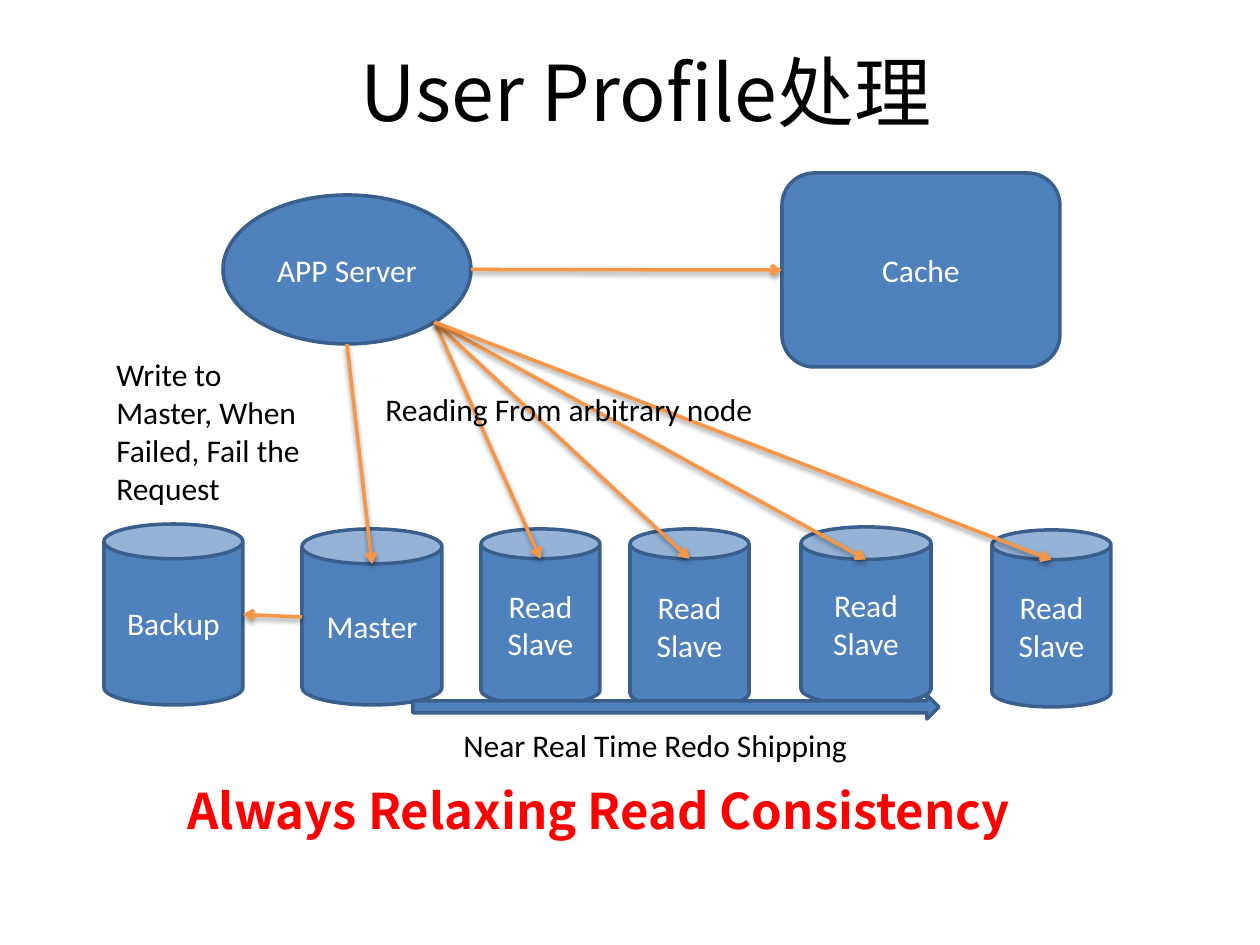
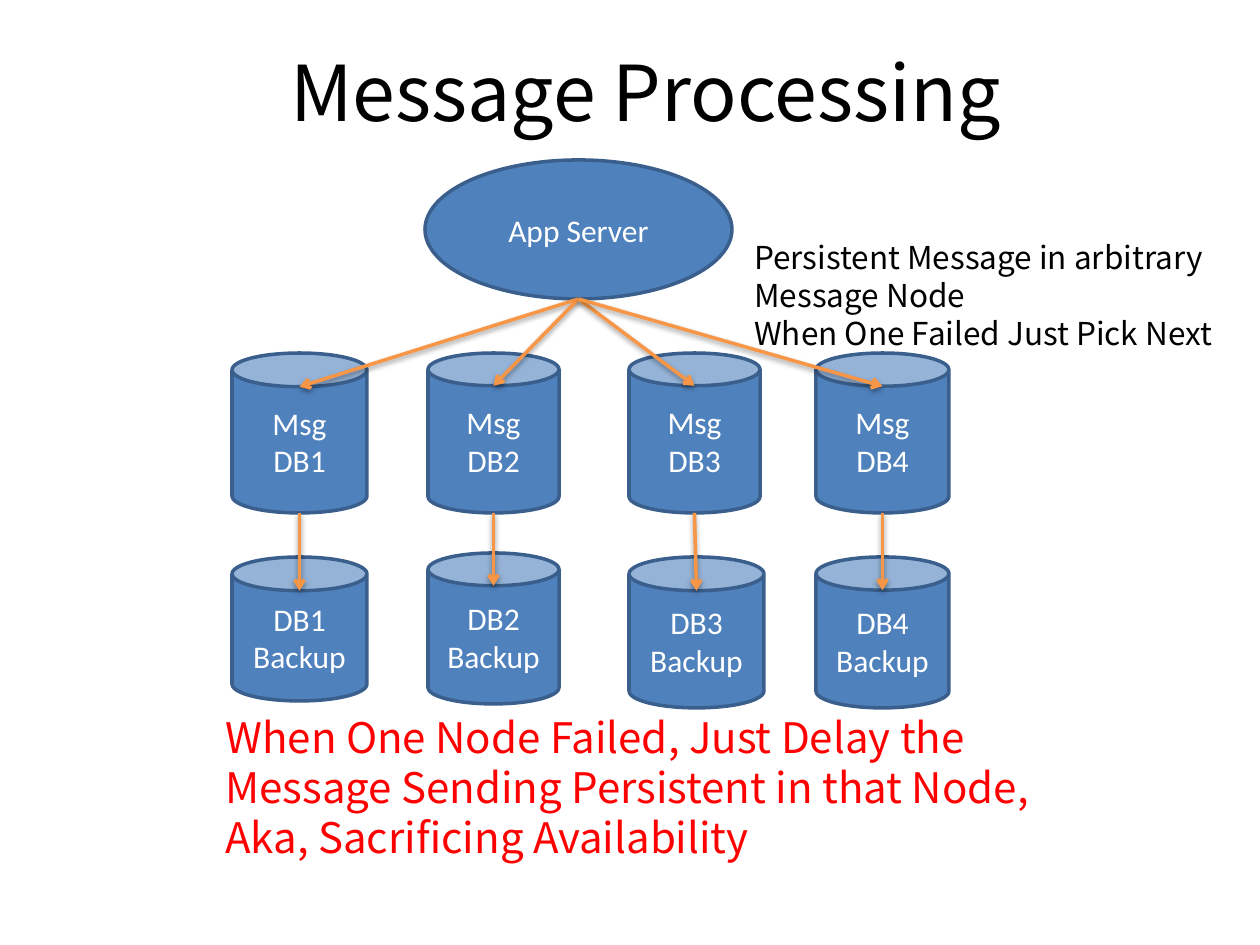
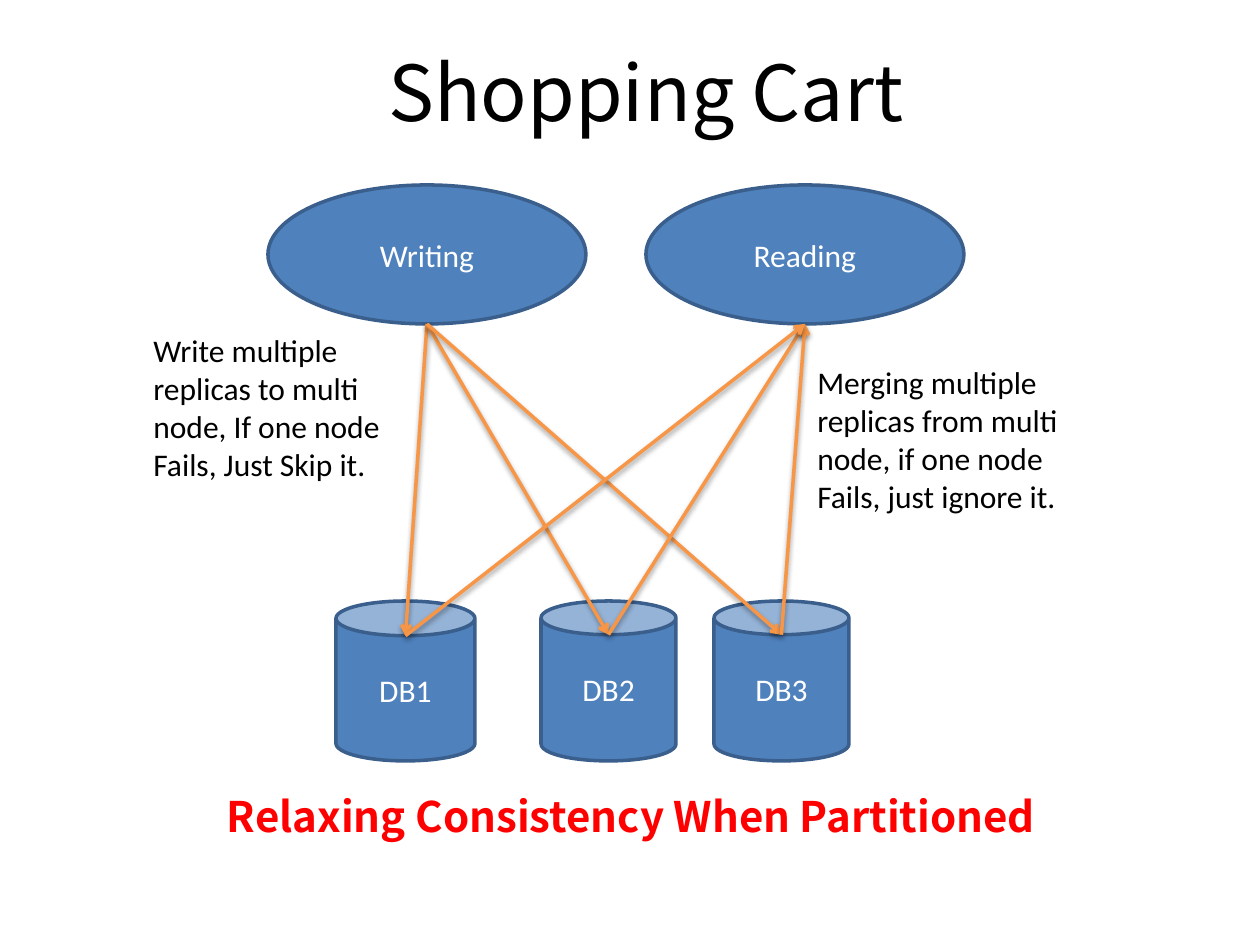
import math
from dataclasses import dataclass

from lxml import etree
from pptx import Presentation
from pptx import util as u
from pptx.dml.color import RGBColor
from pptx.enum import shapes, text
from pptx.oxml.ns import qn

PX = 914400 // 126  # one px in EMU
PT = 12700


@dataclass(frozen=True)
class Theme:
    fill: str = "4F81BD"
    outline: str = "3A5F8C"
    arrow: str = "F79646"
    ink: str = "000000"
    light: str = "FFFFFF"
    alert: str = "FF0000"
    body_font: str = "Calibri"
    head_font: str = "Noto Sans CJK SC"
    title_size: int = 44
    banner_size: int = 28
    alert_size: int = 24
    body_size: int = 18
    line: int = 2


T = Theme()
TITLE_BOX = (84, 31, 1124, 136)
KINDS = {
    "ellipse": shapes.MSO_SHAPE.OVAL,
    "can": shapes.MSO_SHAPE.CAN,
    "round": shapes.MSO_SHAPE.ROUNDED_RECTANGLE,
    "arrow": shapes.MSO_SHAPE.RIGHT_ARROW,
}
HEAD = dict(font=T.head_font)
ALERT = dict(HEAD, size=T.alert_size, color=T.alert)

# Content: nodes are name: (kind, text, box); links are (from, anchor, to, anchor);
# notes are (text, box, format)
READS = [(481, 529, 119, 176), (630, 529, 119, 179),
         (801, 527, 130, 178), (992, 530, 119, 177)]
MESSAGE_COLUMNS = [(232, 135), (428, 131), (629, 131), (816, 133)]
BACKUPS = [(232, 557, 135, 144), (428, 553, 131, 151),
           (629, 557, 135, 151), (816, 557, 133, 151)]
STORES = [(336, 601, 139, 160), (541, 601, 135, 160), (714, 601, 135, 160)]

SLIDES = [
    dict(
        title="User Profile处理",
        nodes={
            "app": ("ellipse", "APP Server", (223, 195, 248, 149)),
            "master": ("can", "Master", (302, 529, 140, 176)),
            "cache": ("round", "Cache", (782, 173, 278, 194)),
            **{f"read{i}": ("can", "Read\nSlave", box) for i, box in enumerate(READS)},
            "backup": ("can", "Backup", (104, 524, 139, 181)),
            "redo": ("arrow", "", (413, 695, 526, 24)),
        },
        links=[("app", "bottom", "master", "lid"),
               ("app", "right", "cache", "left"),
               ("master", "left", "backup", "right"),
               *[("app", "corner", f"read{i}", "lid") for i in range(4)]],
        notes=[
            ("Near Real Time Redo Shipping", (451, 720, 446, 50), {}),
            ("Write to Master, When Failed, Fail the Request", (104, 349, 228, 127), {}),
            ("Reading From arbitrary node", (373, 384, 416, 50), {}),
            ("Always Relaxing Read Consistency", (175, 770, 922, 72),
             dict(ALERT, size=T.banner_size, bold=True)),
        ],
    ),
    dict(
        title="Message Processing",
        nodes={
            "app": ("ellipse", "App Server", (425, 160, 307, 139)),
            **{f"msg{i}": ("can", f"Msg\nDB{i}", (x, 353, w, 160))
               for i, (x, w) in enumerate(MESSAGE_COLUMNS, 1)},
            **{f"backup{i}": ("can", f"DB{i}\nBackup", box)
               for i, box in enumerate(BACKUPS, 1)},
        },
        links=[*[("app", "bottom", f"msg{i}", "lid") for i in range(1, 5)],
               *[(f"msg{i}", "bottom", f"backup{i}", "lid") for i in range(1, 5)]],
        notes=[
            ("Persistent Message in arbitrary Message Node\nWhen One Failed Just Pick Next",
             (742, 229, 514, 127), HEAD),
            ("When One Node Failed, Just Delay the Message Sending Persistent in that Node,\n"
             "Aka, Sacrificing Availability", (213, 701, 922, 165), ALERT),
        ],
    ),
    dict(
        title="Shopping Cart",
        nodes={
            "writing": ("ellipse", "Writing", (268, 185, 318, 139)),
            "reading": ("ellipse", "Reading", (646, 185, 318, 139)),
            **{f"db{i}": ("can", f"DB{i}", box) for i, box in enumerate(STORES, 1)},
        },
        links=[*[("writing", "bottom", f"db{i}", "lid") for i in (1, 2, 3)],
               *[(f"db{i}", "lid", "reading", "bottom") for i in (2, 3, 1)]],
        notes=[
            ("Write multiple replicas to multi node, If one node Fails, Just Skip it.",
             (141, 325, 256, 165), {}),
            ("Merging multiple replicas from multi node, if one node Fails, just ignore it.",
             (805, 357, 289, 165), {}),
            ("Relaxing Consistency When Partitioned", (164, 780, 927, 69),
             dict(ALERT, bold=True, inset=63)),
        ],
    ),
]


def emu(*lengths):
    return [round(n * PX) for n in lengths]


def write(tf, content, size=T.body_size, color=T.ink, font=T.body_font, bold=False,
          align=text.PP_ALIGN.LEFT, anchor=text.MSO_ANCHOR.TOP, inset=None):
    """Fill a text frame, one paragraph for each line of content."""
    tf.word_wrap = True
    tf.vertical_anchor = anchor
    if inset:
        tf.margin_left = u.Emu(inset * PX)
    if font == T.head_font:
        tf.margin_top = u.Pt(3.6 + 0.09 * size)
    for i, line in enumerate(content.split("\n")):
        p = tf.add_paragraph() if i else tf.paragraphs[0]
        p.alignment = align
        if font == T.head_font:  # tall font set on tight lines
            p.line_spacing = u.Pt(round(1.2 * size, 1))
        r = p.add_run()
        r.text = line
        r.font.size, r.font.bold, r.font.name = u.Pt(size), bold, font
        r.font.color.rgb = RGBColor.from_string(color)
        if font == T.head_font:
            etree.SubElement(r.font._element, qn("a:ea"), typeface=font)


def add_note(s, content, box, **style):
    write(s.shapes.add_textbox(*emu(*box)).text_frame, content, **style)


def add_node(s, kind, content, box):
    sp = s.shapes.add_shape(KINDS[kind], *emu(*box))
    sp.shadow.inherit = False
    sp.fill.solid()
    sp.fill.fore_color.rgb = RGBColor.from_string(T.fill)
    sp.line.color.rgb = RGBColor.from_string(T.outline)
    sp.line.width = u.Pt(T.line)
    if content:
        write(sp.text_frame, content, color=T.light, align=text.PP_ALIGN.CENTER,
              anchor=text.MSO_ANCHOR.MIDDLE)
    return sp


def anchor_point(box, anchor):
    x, y, w, h = box
    diagonal = (1 + math.sqrt(0.5)) / 2  # lower right of an ellipse
    return {
        "left": (x, y + h / 2),
        "right": (x + w, y + h / 2),
        "bottom": (x + w / 2, y + h),
        "corner": (x + w * diagonal, y + h * diagonal),
        "lid": (x + w / 2, y + min(w, h) / 4),  # front edge of a can's top
    }[anchor]


def add_link(s, start, end):
    cx = s.shapes.add_connector(shapes.MSO_CONNECTOR.STRAIGHT, *emu(*start, *end))
    cx.line.color.rgb = RGBColor.from_string(T.arrow)
    cx.line.width = u.Pt(T.line)
    etree.SubElement(cx.line._get_or_add_ln(), qn("a:tailEnd"), type="arrow")
    # Soft shadow straight below the line
    effects = etree.SubElement(cx._element.spPr, qn("a:effectLst"))
    shadow = etree.SubElement(effects, qn("a:outerShdw"), blurRad=str(round(3.1 * PT)),
                              dist=str(round(1.6 * PT)), dir="5400000", rotWithShape="0")
    color = etree.SubElement(shadow, qn("a:srgbClr"), val=T.ink)
    etree.SubElement(color, qn("a:alpha"), val="38000")
    return cx


def build_slide(prs, content):
    s = prs.slides.add_slide(prs.slide_layouts[6])
    add_note(s, content["title"], TITLE_BOX, font=T.head_font, size=T.title_size,
             align=text.PP_ALIGN.CENTER)
    nodes = content["nodes"]
    drawn = {name: add_node(s, *node) for name, node in nodes.items()}
    for source, out, target, into in content["links"]:
        cx = add_link(s, anchor_point(nodes[source][2], out),
                      anchor_point(nodes[target][2], into))
        if nodes[target][0] == "round":
            cx.end_connect(drawn[target], 1)
    for note, box, style in content["notes"]:
        add_note(s, note, box, **style)


def main():
    prs = Presentation()
    prs.slide_width, prs.slide_height = u.Inches(10), u.Inches(7.5)
    for content in SLIDES:
        build_slide(prs, content)
    prs.save("out.pptx")


if __name__ == "__main__":
    main()
